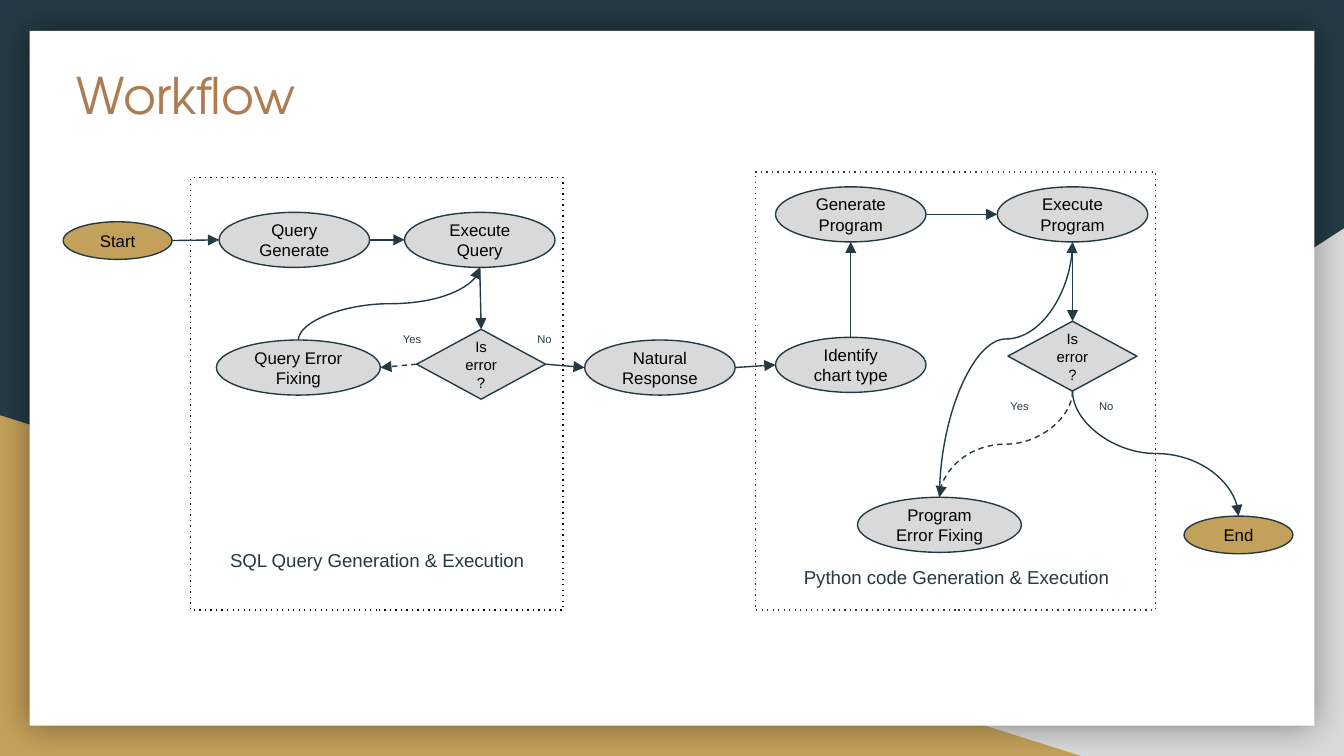
from typing import NamedTuple

from lxml.etree import SubElement
from pptx import Presentation
from pptx.dml.color import RGBColor
from pptx.enum.shapes import MSO_CONNECTOR as Connector, MSO_SHAPE as Preset
from pptx.enum.text import MSO_ANCHOR as Anchor, MSO_AUTO_SIZE as AutoSize, PP_ALIGN as Align
from pptx.oxml.ns import qn
from pptx.util import Inches, Pt

COLORS = {
    "navy": "233A44", "gold": "C4A15A", "gray": "D9D9D9",
    "white": "FFFFFF", "black": "000000", "copper": "AF7B51",
}


class Box(NamedTuple):
    left: float
    top: float
    width: float
    height: float


class Node(NamedTuple):
    text: str
    box: Box
    fill: str = "gray"
    preset: int = Preset.OVAL
    size: int = 9


class Link(NamedTuple):
    start: str
    start_side: str
    end: str
    end_side: str
    dash: str = "solid"
    curve: float = 0


class Label(NamedTuple):
    text: str
    box: Box
    size: int = 6
    align: int = Align.LEFT
    font: str = "Arial"
    color: str = "navy"


def step(left: float, top: float) -> Box:
    return Box(left, top, 1.12, 0.41)


def fixing(left: float, top: float) -> Box:
    return Box(left, top, 1.22, 0.41)


def terminal(left: float, top: float) -> Box:
    return Box(left, top, 0.81, 0.28)


def decision(left: float, top: float) -> Node:
    return Node("Is error?", Box(left, top, 0.96, 0.52), preset=Preset.DIAMOND, size=8)


def tag(text: str, left: float, top: float) -> Label:
    return Label(text, Box(left, top, 0.35, 0.18))


BACKDROP = [
    (Preset.RIGHT_TRIANGLE, Box(3.92, 1.7, 6.08, 3.93), "gray", True),
    (Preset.RIGHT_TRIANGLE, Box(0, 3.09, 8.06, 2.54), "gold", False),
]
PANEL = Box(0.22, 0.23, 9.56, 5.17)
NODES = {
    "start": Node("Start", terminal(0.47, 1.65), "gold"),
    "query": Node("Query Generate", step(1.63, 1.58)),
    "run_query": Node("Execute Query", step(3.01, 1.58)),
    "fix_query": Node("Query Error Fixing", fixing(1.61, 2.53)),
    "query_error": decision(3.1, 2.45),
    "response": Node("Natural Response", step(4.35, 2.53)),
    "chart": Node("Identify chart type", step(5.77, 2.51)),
    "program": Node("Generate Program", step(5.77, 1.39)),
    "run_program": Node("Execute Program", step(7.42, 1.39)),
    "program_error": decision(7.5, 2.39),
    "fix_program": Node("Program Error Fixing", fixing(6.38, 3.7)),
    "end": Node("End", terminal(8.81, 3.84), "gold"),
}
LINKS = [
    Link("start", "right", "query", "left"),
    Link("query", "right", "run_query", "left"),
    Link("run_query", "bottom", "query_error", "top"),
    Link("query_error", "left", "fix_query", "right", "dash"),
    Link("fix_query", "top", "run_query", "bottom", curve=0.5),
    Link("query_error", "right", "response", "left"),
    Link("response", "right", "chart", "left"),
    Link("chart", "top", "program", "bottom"),
    Link("program", "right", "run_program", "left"),
    Link("run_program", "bottom", "program_error", "top"),
    Link("program_error", "bottom", "fix_program", "top", "dash", 0.5),
    Link("fix_program", "top", "run_program", "bottom", curve=0.62),
    Link("program_error", "bottom", "end", "top", curve=0.5),
]
GROUPS = [(Box(1.42, 1.32, 2.77, 3.22), "black"), (Box(5.62, 1.28, 2.98, 3.26), "navy")]
LABELS = [
    Label("Workflow", Box(0.47, 0.38, 8.21, 0.66), 27, font="TeX Gyre Adventor", color="copper"),
    tag("Yes", 2.9, 2.42),
    tag("No", 3.9, 2.42),
    tag("Yes", 7.42, 2.92),
    tag("No", 8.08, 2.92),
    Label("SQL Query Generation & Execution", Box(1.51, 4, 2.59, 0.34), 10, Align.CENTER),
    Label("Python code Generation & Execution", Box(5.77, 4.13, 2.69, 0.34), 10, Align.CENTER),
]
SIDES = {"left": (0, 0.5), "right": (1, 0.5), "top": (0.5, 0), "bottom": (0.5, 1)}


def rgb(name: str) -> RGBColor:
    return RGBColor.from_string(COLORS[name])


def place(box: tuple) -> list:
    return [Inches(value) for value in box]


def write(shape, text: str, *, size: int, color: str, font: str = "Arial",
          align: int = Align.LEFT, anchor: int = Anchor.TOP) -> None:
    frame = shape.text_frame
    frame.word_wrap = True
    frame.vertical_anchor = anchor
    frame.margin_left = frame.margin_right = Inches(0.1)
    frame.margin_top = frame.margin_bottom = Inches(0.1)
    paragraph = frame.paragraphs[0]
    paragraph.alignment = align
    run = paragraph.add_run()
    run.text = text
    run.font.size, run.font.name = Pt(size), font
    run.font.color.rgb = rgb(color)


def outline(shape, color: str, dash: str = "solid"):
    shape.line.color.rgb = rgb(color)
    shape.line.width = Pt(0.75)
    line = shape._element.spPr.find(qn("a:ln"))
    SubElement(line, qn("a:prstDash"), val=dash)
    return line


def add_shape(slide, preset: int, box: Box, fill: str = "", line: str = "", dash: str = "solid"):
    shape = slide.shapes.add_shape(preset, *place(box))
    shape.shadow.inherit = False
    if fill:
        shape.fill.solid()
        shape.fill.fore_color.rgb = rgb(fill)
    else:
        shape.fill.background()
    if line:
        outline(shape, line, dash)
    else:
        shape.line.fill.background()
    return shape


def add_panel(slide) -> None:
    panel = add_shape(slide, Preset.RECTANGLE, PANEL, "white")
    effects = panel._element.spPr.find(qn("a:effectLst"))
    shadow = SubElement(effects, qn("a:outerShdw"), blurRad=str(Pt(18)), algn="ctr", rotWithShape="0")
    color = SubElement(shadow, qn("a:srgbClr"), val=COLORS["black"])
    SubElement(color, qn("a:alpha"), val="40000")


def site(name: str, side: str) -> tuple[float, float]:
    box, (across, down) = NODES[name].box, SIDES[side]
    return box.left + across * box.width, box.top + down * box.height


def bend(connector, start: tuple, end: tuple, adjust: float) -> None:
    """Turn a curved connector so that it leaves and arrives vertically."""
    across, down = end[0] - start[0], end[1] - start[1]
    width, height = abs(down), abs(across)
    connector.left = Inches((start[0] + end[0] - width) / 2)
    connector.top = Inches((start[1] + end[1] - height) / 2)
    connector.width, connector.height = Inches(width), Inches(height)
    properties = connector._element.spPr
    frame = properties.find(qn("a:xfrm"))
    for name in ("flipH", "flipV"):
        frame.attrib.pop(name, None)
    frame.set("rot", str((90 if down > 0 > across else 270) * 60000))
    if down > 0 and across > 0:
        frame.set("flipH", "1")
    guides = properties.find(qn("a:prstGeom")).find(qn("a:avLst"))
    SubElement(guides, qn("a:gd"), name="adj1", fmla=f"val {round(adjust * 100000)}")


def add_link(slide, link: Link) -> None:
    start, end = site(link.start, link.start_side), site(link.end, link.end_side)
    kind = Connector.CURVE if link.curve else Connector.STRAIGHT
    connector = slide.shapes.add_connector(kind, *place(start + end))
    if link.curve:
        bend(connector, start, end, link.curve)
    line = outline(connector, "navy", link.dash)
    SubElement(line, qn("a:tailEnd"), type="triangle", w="med", len="med")
    SubElement(connector._element.spPr, qn("a:effectLst"))


def main() -> None:
    presentation = Presentation()
    presentation.slide_width, presentation.slide_height = Inches(10), Inches(10) * 9 // 16
    slide = presentation.slides.add_slide(presentation.slide_layouts[6])
    slide.background.fill.solid()
    slide.background.fill.fore_color.rgb = rgb("navy")
    for preset, box, fill, mirrored in BACKDROP:
        shape = add_shape(slide, preset, box, fill)
        if mirrored:
            shape._element.spPr.find(qn("a:xfrm")).set("flipH", "1")
    add_panel(slide)
    for node in NODES.values():
        shape = add_shape(slide, node.preset, node.box, node.fill, "navy")
        write(shape, node.text, size=node.size, color="black", align=Align.CENTER, anchor=Anchor.MIDDLE)
    for link in LINKS:
        add_link(slide, link)
    for box, color in GROUPS:
        add_shape(slide, Preset.RECTANGLE, box, line=color, dash="dot")
    for label in LABELS:
        shape = slide.shapes.add_textbox(*place(label.box))
        write(shape, label.text, size=label.size, color=label.color, font=label.font, align=label.align)
        shape.text_frame.auto_size = AutoSize.SHAPE_TO_FIT_TEXT
    presentation.save("out.pptx")


if __name__ == "__main__":
    main()
